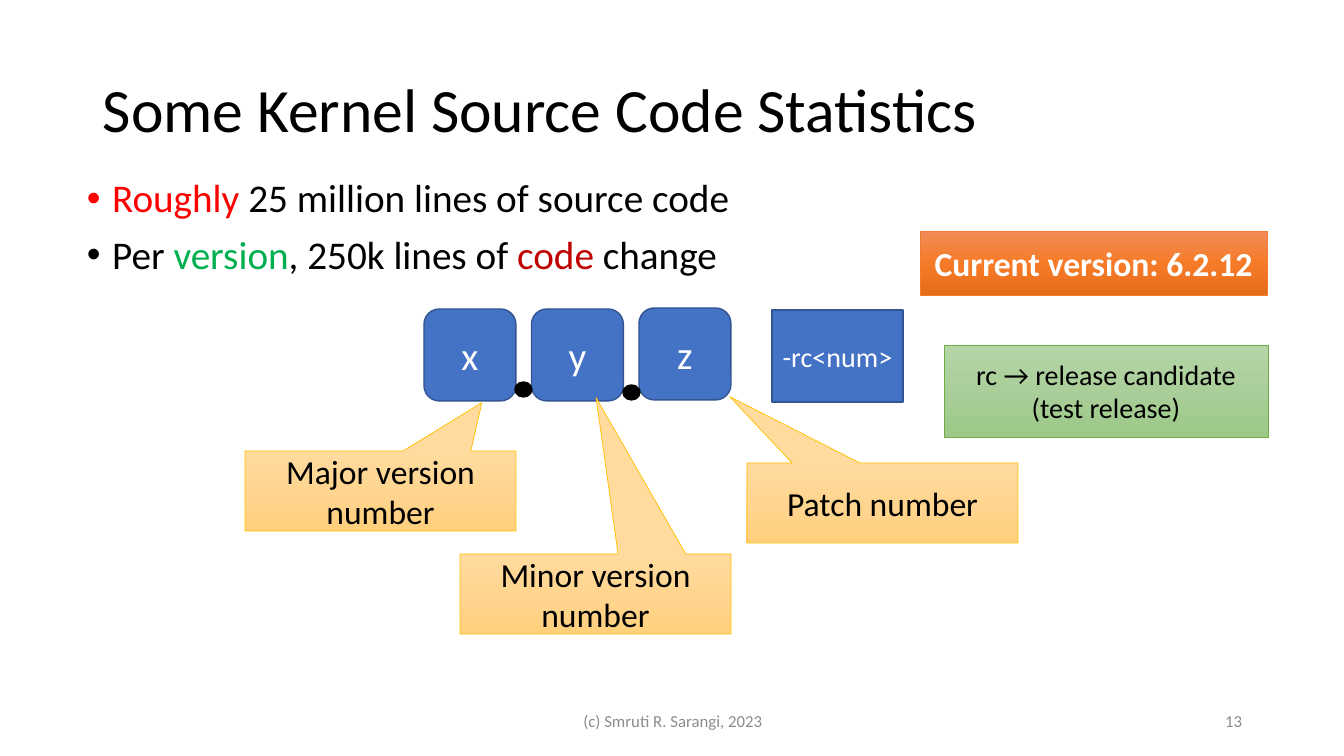
from copy import deepcopy

from pptx import Presentation
from pptx.dml.color import RGBColor
from pptx.enum.shapes import MSO_SHAPE
from pptx.enum.text import MSO_ANCHOR, PP_ALIGN
from pptx.oxml.ns import qn
from pptx.util import Emu, Pt

RECT, ROUNDED = MSO_SHAPE.RECTANGLE, MSO_SHAPE.ROUNDED_RECTANGLE
CALLOUT, OVAL = MSO_SHAPE.RECTANGULAR_CALLOUT, MSO_SHAPE.OVAL
TOP, MIDDLE = MSO_ANCHOR.TOP, MSO_ANCHOR.MIDDLE
LEFT, CENTER, RIGHT = PP_ALIGN.LEFT, PP_ALIGN.CENTER, PP_ALIGN.RIGHT

# Content
FONT = "Calibri"
BLACK, WHITE, GRAY, BLUE, NAVY = "000000", "FFFFFF", "8C8C8C", "4472C4", "325491"
YELLOW_FADE = ["FFDB9E", "FFD590", "FFD07C"]
ORANGE_FADE = ["F18C57", "F67B28", "E56C19"]
GREEN_FADE = ["B5D5A7", "AACE9A", "9CC987"]

TITLE = "Some Kernel Source Code Statistics"
BULLETS = [
    [("Roughly", "FF0000"), (" 25 million lines of source code", BLACK)],
    [("Per ", BLACK), ("version", "00B050"), (", 250k lines of ", BLACK),
     ("code", "C00000"), (" change", BLACK)],
]
VERSION_PARTS = [("x", 309), ("y", 309), ("z", 308)]  # text, top
CALLOUTS = [  # text, left, top, pointer tip as a share of the size
    ("Major version number", 245, 451, (0.374, -1.104)),
    ("Minor version number", 460, 554, (0.002, -2.456)),
    ("Patch number", 747, 463, (-0.564, -1.329)),
]
DOTS = [(515, 382), (623, 385)]
NOTES = [  # text, box, fill, line, line width, size, colour, bold
    ("Current version: 6.2.12", (920, 231, 347, 64), ORANGE_FADE, "ED7D31", 0.5, 24, WHITE, True),
    ("rc → release candidate (test release)", (944, 345, 324, 92), GREEN_FADE, "70AD47", 0.5, 20,
     BLACK, False),
    ("-rc<num>", (772, 310, 131, 92), [BLUE], NAVY, 1, 20, WHITE, False),
]
FOOTERS = [
    ("13", (950, 701, 302, 40), RIGHT),
    ("(c) Smruti R. Sarangi, 2023", (446, 701, 454, 40), CENTER),
]

PX = 914400 / 100.8
deck = Presentation()
deck.slide_width, deck.slide_height = Emu(12192000), Emu(6858000)
slide = deck.slides.add_slide(deck.slide_layouts[6])


def px(*lengths):
    return [Emu(round(length * PX)) for length in lengths]


def rgb(color):
    return RGBColor.from_string(color)


def write(paragraph, text, size, color, align=CENTER, bold=False):
    paragraph.text = text
    paragraph.alignment = align
    paragraph.font.name = FONT
    paragraph.font.size = Pt(size)
    paragraph.font.bold = bold
    paragraph.font.color.rgb = rgb(color)


def add_text_box(box, anchor):
    frame = slide.shapes.add_textbox(*px(*box)).text_frame
    frame.word_wrap = True
    frame.vertical_anchor = anchor
    return frame


def paint(shape, colors):
    fill = shape.fill
    if len(colors) == 1:
        fill.solid()
        fill.fore_color.rgb = rgb(colors[0])
        return
    fill.gradient()
    fill.gradient_angle = 270  # top to bottom
    stop_list = shape.element.spPr.find(qn("a:gradFill")).find(qn("a:gsLst"))
    stop_list.insert(1, deepcopy(stop_list[0]))
    for i, (stop, color) in enumerate(zip(fill.gradient_stops, colors)):
        stop.position = i / 2
        stop.color.rgb = rgb(color)


def add_block(kind, box, colors, line, line_width):
    shape = slide.shapes.add_shape(kind, *px(*box))
    shape.shadow.inherit = False
    paint(shape, colors)
    shape.line.color.rgb = rgb(line)
    shape.line.width = Pt(line_width)
    shape.text_frame.word_wrap = True
    shape.text_frame.vertical_anchor = MIDDLE
    return shape


# Title
title = add_text_box((93, 40, 1159, 146), MIDDLE).paragraphs[0]
write(title, TITLE, 44, BLACK, LEFT)
title.line_spacing = 0.9

# Bullets
body = add_text_box((77, 174, 1159, 157), TOP)
for i, runs in enumerate(BULLETS):
    paragraph = body.add_paragraph() if i else body.paragraphs[0]
    paragraph.line_spacing = 0.9
    if i:
        paragraph.space_before = Pt(10)
    properties = paragraph._p.get_or_add_pPr()
    properties.set("marL", "228600")
    properties.set("indent", "-228600")
    bullet_font = properties.makeelement(qn("a:buFont"), {"typeface": "Arial"})
    bullet = properties.makeelement(qn("a:buChar"), {"char": "•"})
    properties.extend([bullet_font, bullet])
    paragraph.font.name = FONT
    paragraph.font.size = Pt(28)
    for text, color in runs:
        run = paragraph.add_run()
        run.text = text
        run.font.color.rgb = rgb(color)

# Version number boxes
for i, (text, top) in enumerate(VERSION_PARTS):
    part = add_block(ROUNDED, (424 + 107.5 * i, top, 92, 92), [BLUE], NAVY, 1)
    write(part.text_frame.paragraphs[0], text, 28, WHITE)

# Callouts explaining each part
for text, left, top, tip in CALLOUTS:
    callout = add_block(CALLOUT, (left, top, 271, 80), YELLOW_FADE, "FFC000", 0.5)
    callout.adjustments[0], callout.adjustments[1] = tip
    write(callout.text_frame.paragraphs[0], text, 24, BLACK)

# Dots between the parts
for left, top in DOTS:
    add_block(OVAL, (left, top, 17, 15), [BLACK], BLACK, 1)

# Notes on the right
for text, box, colors, line, line_width, size, color, bold in NOTES:
    note = add_block(RECT, box, colors, line, line_width)
    write(note.text_frame.paragraphs[0], text, size, color, bold=bold)

# Footer
for text, box, align in FOOTERS:
    write(add_text_box(box, MIDDLE).paragraphs[0], text, 12, GRAY, align)

deck.save("out.pptx")
